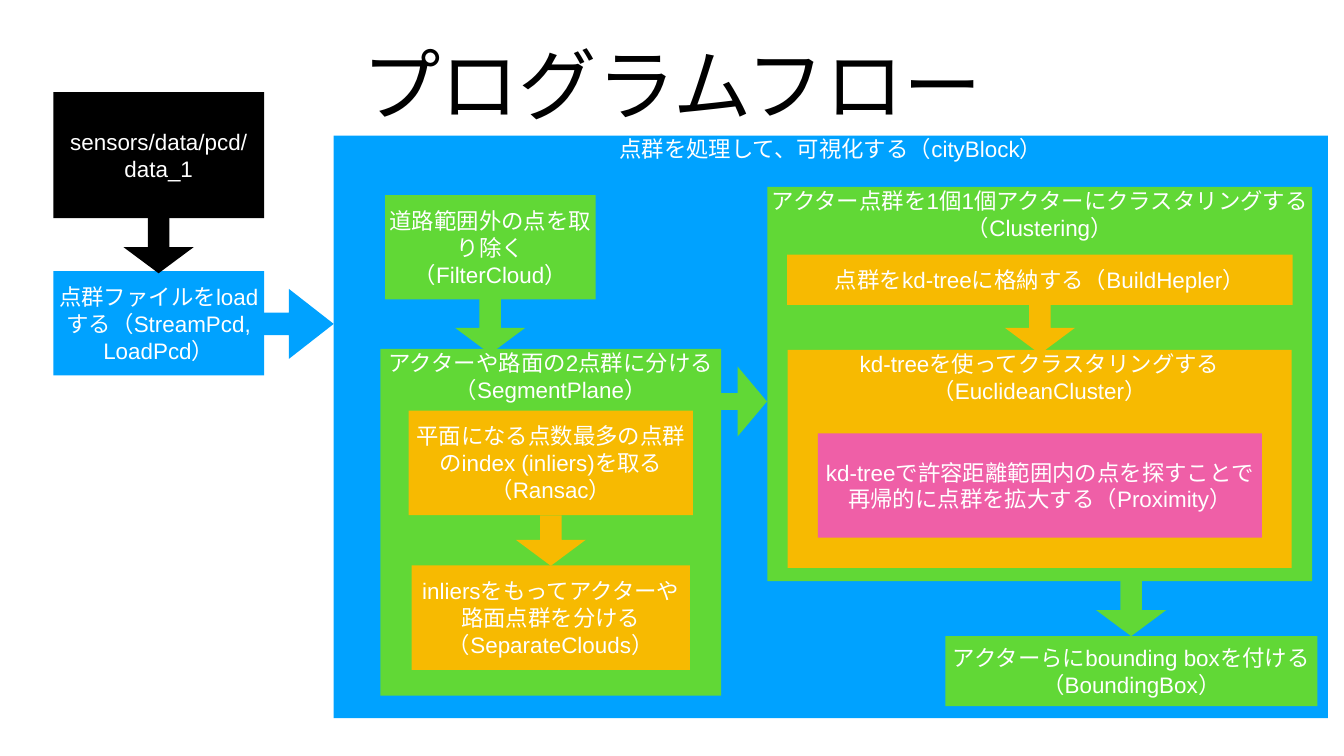
from pptx import Presentation
from pptx.dml.color import RGBColor
from pptx.enum.shapes import MSO_SHAPE as Preset
from pptx.enum.text import MSO_ANCHOR as Anchor, PP_ALIGN as Align
from pptx.util import Inches, Pt

COLORS = {
    "data": "000000",
    "program": "00A2FF",
    "step": "61D836",
    "substep": "F7BA01",
    "detail": "EF5FA7",
    "title": "000000",
    "label": "FFFFFF",
}
FONT = "Arial"
ROWS = 45
SLIDE_WIDTH, SLIDE_HEIGHT = Inches(26.67), Inches(15)
CELL = SLIDE_HEIGHT / ROWS
ARROW_BREADTH = 4.17
DOWN_HEAD = 1.55
DOWN_SHAFT = 0.307

STAGES = [
    ("program", (3.18, 16.14, 12.54, 6.21), Anchor.MIDDLE,
     "点群ファイルをloadする（StreamPcd, LoadPcd）"),
    ("data", (3.18, 5.49, 12.54, 7.5), Anchor.MIDDLE,
     "sensors/data/pcd/data_1"),
    ("program", (19.86, 8.07, 59.19, 34.68), Anchor.TOP,
     "点群を処理して、可視化する（cityBlock）"),
    ("step", (22.92, 11.61, 12.54, 6.21), Anchor.MIDDLE,
     "道路範囲外の点を取り除く（FilterCloud）"),
    ("step", (22.65, 20.76, 20.28, 20.64), Anchor.TOP,
     "アクターや路面の2点群に分ける（SegmentPlane）"),
    ("step", (45.69, 11.13, 32.43, 23.46), Anchor.TOP,
     "アクター点群を1個1個アクターにクラスタリングする（Clustering）"),
    ("step", (56.28, 37.86, 22.14, 4.17), Anchor.MIDDLE,
     "アクターらにbounding boxを付ける（BoundingBox）"),
    ("substep", (24.33, 24.45, 16.92, 6.21), Anchor.MIDDLE,
     "平面になる点数最多の点群のindex (inliers)を取る（Ransac）"),
    ("substep", (24.51, 33.66, 16.56, 6.21), Anchor.MIDDLE,
     "inliersをもってアクターや路面点群を分ける（SeparateClouds）"),
    ("substep", (46.86, 15.15, 30.09, 3), Anchor.MIDDLE,
     "点群をkd-treeに格納する（BuildHepler）"),
    ("substep", (46.89, 20.82, 30, 12.99), Anchor.TOP,
     "kd-treeを使ってクラスタリングする（EuclideanCluster）"),
    ("detail", (48.69, 25.8, 26.43, 6.21), Anchor.MIDDLE,
     "kd-treeで許容距離範囲内の点を探すことで再帰的に点群を拡大する（Proximity）"),
]

DOWN_FLOWS = [
    ("data", (9.44, 14.6), 3.33),
    ("step", (29.18, 19.43), 3.27),
    ("substep", (32.79, 32.18), 3),
    ("step", (67.34, 36.23), 3.27),
    ("substep", (61.91, 19.43), 3.27),
]

RIGHT_FLOWS = [
    ("program", (17.78, 19.28), 4.17, 2.67, 0.32),
    ("step", (44.07, 23.9), 3.18, 1.75, 0.24),
]


def grid(*cells):
    """Convert grid cells to slide lengths."""
    return [round(count * CELL) for count in cells]


def color(role):
    """Return the colour of a role."""
    return RGBColor.from_string(COLORS[role])


def write(frame, text, size, role, anchor, margin=0):
    """Fill a text frame with one centred paragraph."""
    frame.word_wrap = True
    frame.vertical_anchor = anchor
    frame.margin_left = frame.margin_right = margin
    frame.margin_top = frame.margin_bottom = margin
    paragraph = frame.paragraphs[0]
    paragraph.text = text
    paragraph.alignment = Align.CENTER
    paragraph.font.name = FONT
    paragraph.font.size = Pt(size)
    paragraph.font.color.rgb = color(role)


def add_solid(slide, preset, area, role):
    """Add a flat shape without outline or shadow."""
    solid = slide.shapes.add_shape(preset, *grid(*area))
    solid.shadow.inherit = False
    solid.fill.solid()
    solid.fill.fore_color.rgb = color(role)
    solid.line.fill.background()
    return solid


def add_stage(slide, role, area, anchor, label):
    """Add a labelled stage of the program."""
    stage = add_solid(slide, Preset.RECTANGLE, area, role)
    write(stage.text_frame, label, 32, "label", anchor)


def add_flow(slide, role, center, length, head, shaft, rotation=0):
    """Add a block arrow around its centre."""
    x, y = center
    area = (x - length / 2, y - ARROW_BREADTH / 2, length, ARROW_BREADTH)
    flow = add_solid(slide, Preset.RIGHT_ARROW, area, role)
    flow.adjustments[0] = shaft
    flow.adjustments[1] = head / min(length, ARROW_BREADTH)
    flow.rotation = rotation


def add_title(slide, text):
    """Place and format the slide title."""
    title = slide.shapes.title
    title.left, title.top, title.width, title.height = grid(5.55, 1.17, 68.91, 7.5)
    write(title.text_frame, text, 112, "title", Anchor.MIDDLE, Inches(0.06))


def main():
    """Build the program flow slide."""
    deck = Presentation()
    deck.slide_width, deck.slide_height = SLIDE_WIDTH, SLIDE_HEIGHT
    slide = deck.slides.add_slide(deck.slide_layouts[5])
    add_title(slide, "プログラムフロー")
    for stage in STAGES:
        add_stage(slide, *stage)
    for role, center, length in DOWN_FLOWS:
        add_flow(slide, role, center, length, DOWN_HEAD, DOWN_SHAFT, rotation=90)
    for flow in RIGHT_FLOWS:
        add_flow(slide, *flow)
    deck.save("out.pptx")


if __name__ == "__main__":
    main()
